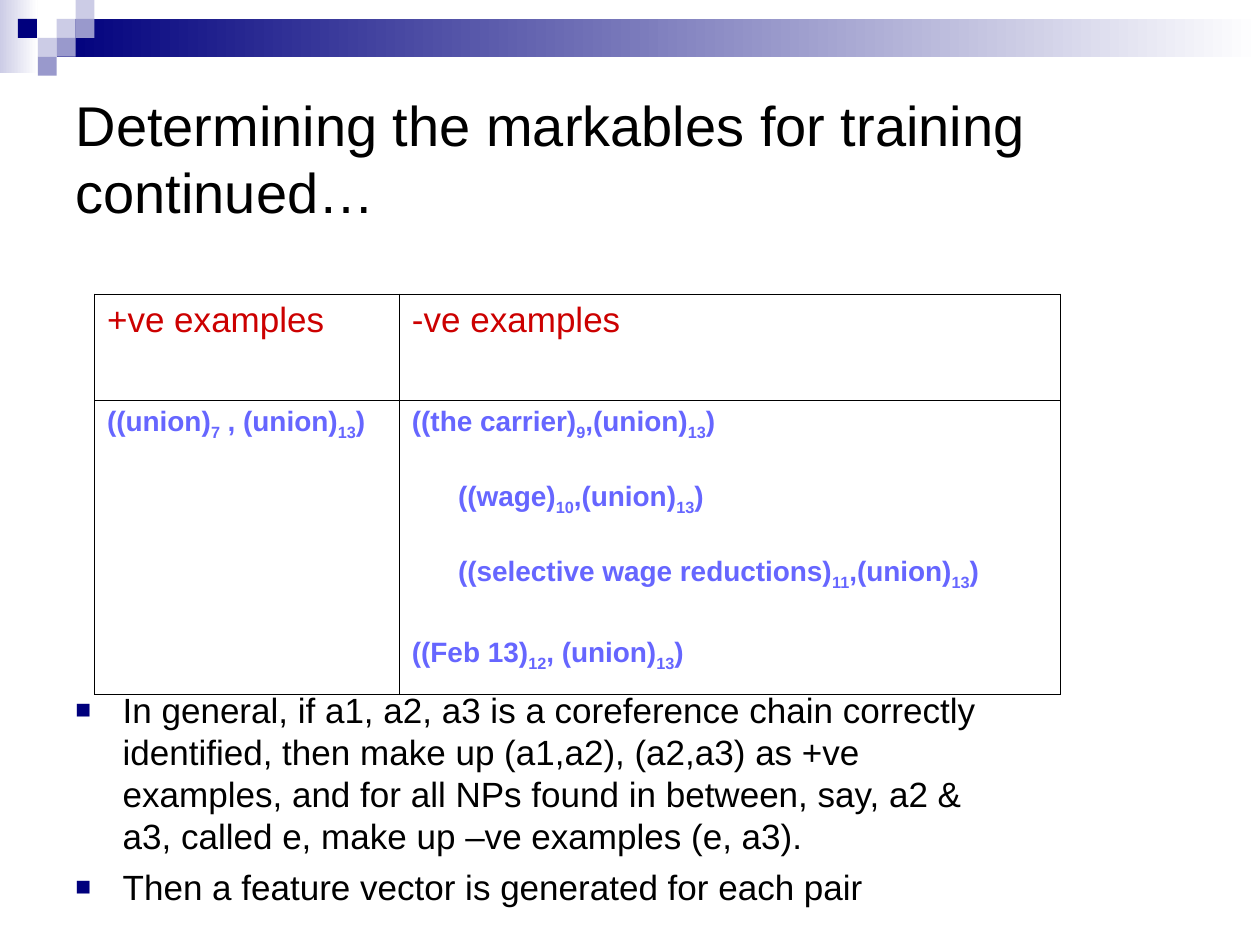
from lxml import etree
from pptx import Presentation
from pptx.dml.color import RGBColor
from pptx.enum import shapes, text
from pptx.oxml import ns
from pptx.util import Pt

NAVY = RGBColor(0x00, 0x00, 0x7D)
LAVENDER = RGBColor(0xCC, 0xCC, 0xE6)
PERIWINKLE = RGBColor(0x99, 0x99, 0xCC)
VIOLET = RGBColor(0x66, 0x66, 0xFF)
RED = RGBColor(0xCC, 0x00, 0x00)
BLACK = RGBColor(0x00, 0x00, 0x00)
WHITE = RGBColor(0xFF, 0xFF, 0xFF)

TITLE_FONT = {"name": "Arial", "size": Pt(32), "bold": False}
BODY_FONT = {"name": "Arial", "size": Pt(20), "bold": False}
PAIR_FONT = {"name": "Arial", "size": Pt(16), "bold": True}

TITLE = "Determining the markables for training continued…"
HEADINGS = ["+ve examples", "-ve examples"]
# Each pair: noun phrase, its index, separator, left indent, space before
POSITIVE = [("union", 7, " , ", 0, 0)]
NEGATIVE = [
    ("the carrier", 9, ",", 0, 0),
    ("wage", 10, ",", 26.4, 22.4),
    ("selective wage reductions", 11, ",", 26.4, 22.4),
    ("Feb 13", 12, ", ", 0, 26),
]
REMARKS = [
    "In general, if a1, a2, a3 is a coreference chain correctly identified, "
    "then make up (a1,a2), (a2,a3) as +ve examples, and for all NPs found in "
    "between, say, a2 & a3, called e, make up –ve examples (e, a3).",
    "Then a feature vector is generated for each pair",
]


def add_xml(parent, tag, **attributes):
    return etree.SubElement(parent, ns.qn(tag),
                            {key: str(value) for key, value in attributes.items()})


def add_run(paragraph, words, font, color, subscript=False):
    run = paragraph.add_run()
    run.text = words
    for key, value in font.items():
        setattr(run.font, key, value)
    run.font.color.rgb = color
    if subscript:
        run.font._element.set("baseline", "-25000")


def add_block(slide, box, color, fade=False):
    block = slide.shapes.add_shape(shapes.MSO_SHAPE.RECTANGLE, *map(Pt, box))
    block.shadow.inherit = False
    block.line.fill.background()
    if fade:
        block.fill.gradient()
        block.fill.gradient_angle = 0
        for stop, shade in zip(block.fill.gradient_stops, (color, WHITE)):
            stop.color.rgb = shade
    else:
        block.fill.solid()
        block.fill.fore_color.rgb = color


def add_banner(slide, left, top, width, unit):
    # Fading bands
    add_block(slide, (left, top, 2 * unit, 41.8), LAVENDER, fade=True)
    add_block(slide, (left + 3 * unit, top + unit, width - 3 * unit, 2 * unit),
              NAVY, fade=True)
    # Mosaic squares, by column and row of the unit grid
    for column, row, color in [
        (3, 1, LAVENDER), (4, 0, LAVENDER), (4, 1, PERIWINKLE),
        (2, 2, LAVENDER), (0.95, 1, NAVY), (3, 2, PERIWINKLE),
        (2, 3, PERIWINKLE),
    ]:
        add_block(slide, (left + column * unit, top + row * unit, unit, unit), color)


def place_title(slide, left, top, width, height):
    title = slide.shapes.title
    title.left, title.top, title.width, title.height = map(
        Pt, (left, top, width, height))
    frame = title.text_frame
    frame.auto_size = text.MSO_AUTO_SIZE.NONE
    frame.vertical_anchor = text.MSO_ANCHOR.MIDDLE
    frame.paragraphs[0].alignment = text.PP_ALIGN.LEFT
    add_run(frame.paragraphs[0], TITLE, TITLE_FONT, BLACK)


def add_borders(cell):
    properties = cell._tc.get_or_add_tcPr()
    for position, side in enumerate(("a:lnL", "a:lnR", "a:lnT", "a:lnB")):
        border = etree.Element(ns.qn(side), {"w": str(Pt(0.45))})
        add_xml(add_xml(border, "a:solidFill"), "a:srgbClr", val=BLACK)
        properties.insert(position, border)


def write_pairs(cell, pairs):
    frame = cell.text_frame
    for number, (phrase, index, separator, indent, gap) in enumerate(pairs):
        paragraph = frame.add_paragraph() if number else frame.paragraphs[0]
        paragraph.space_before = Pt(gap)
        paragraph._p.get_or_add_pPr().set("marL", str(Pt(indent)))
        for words, subscript in [
            (f"(({phrase})", False), (str(index), True),
            (f"{separator}(union)", False), ("13", True), (")", False),
        ]:
            add_run(paragraph, words, PAIR_FONT, VIOLET, subscript)


def add_examples(slide, left, top, widths, heights):
    table = slide.shapes.add_table(
        2, 2, *map(Pt, (left, top, sum(widths), sum(heights)))).table
    for column, width in zip(table.columns, widths):
        column.width = Pt(width)
    for row, height in zip(table.rows, heights):
        row.height = Pt(height)
    for cell in table.iter_cells():
        cell.fill.background()
        add_borders(cell)
    for column, (heading, pairs) in enumerate(zip(HEADINGS, (POSITIVE, NEGATIVE))):
        add_run(table.cell(0, column).text_frame.paragraphs[0],
                heading, BODY_FONT, RED)
        write_pairs(table.cell(1, column), pairs)


def add_remarks(slide, left, top, width, height):
    frame = slide.shapes.add_textbox(*map(Pt, (left, top, width, height))).text_frame
    frame.word_wrap = True
    for number, remark in enumerate(REMARKS):
        paragraph = frame.add_paragraph() if number else frame.paragraphs[0]
        paragraph.space_before = Pt(5)
        add_run(paragraph, remark, BODY_FONT, BLACK)
        # Square bullet with hanging indent
        properties = paragraph._p.get_or_add_pPr()
        properties.set("marL", str(Pt(27)))
        properties.set("indent", str(Pt(-27)))
        add_xml(add_xml(properties, "a:buClr"), "a:srgbClr", val=NAVY)
        add_xml(properties, "a:buSzPct", val=75000)
        add_xml(properties, "a:buFont", typeface="Arial")
        add_xml(properties, "a:buChar", char="■")


def main():
    deck = Presentation()
    deck.slide_width, deck.slide_height = Pt(720), Pt(540)
    slide = deck.slides.add_slide(deck.slide_layouts[5])
    add_banner(slide, 0, 0, 720, 10.8)
    place_title(slide, 36, 36, 648, 108)
    add_examples(slide, 54, 168, (174.2, 378), (60.6, 168.2))
    add_remarks(slide, 36, 390, 552, 132)
    deck.save("out.pptx")


if __name__ == "__main__":
    main()
